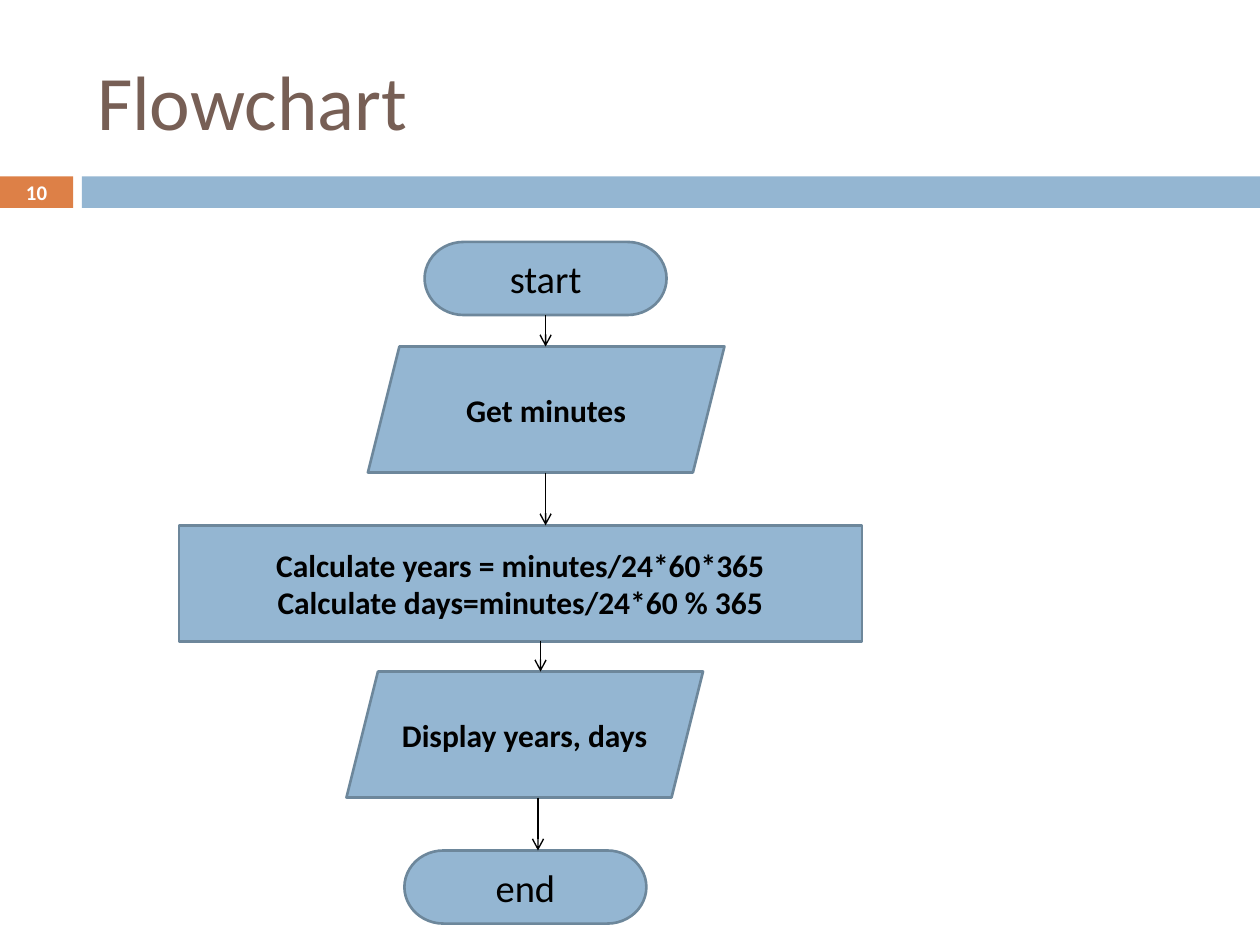
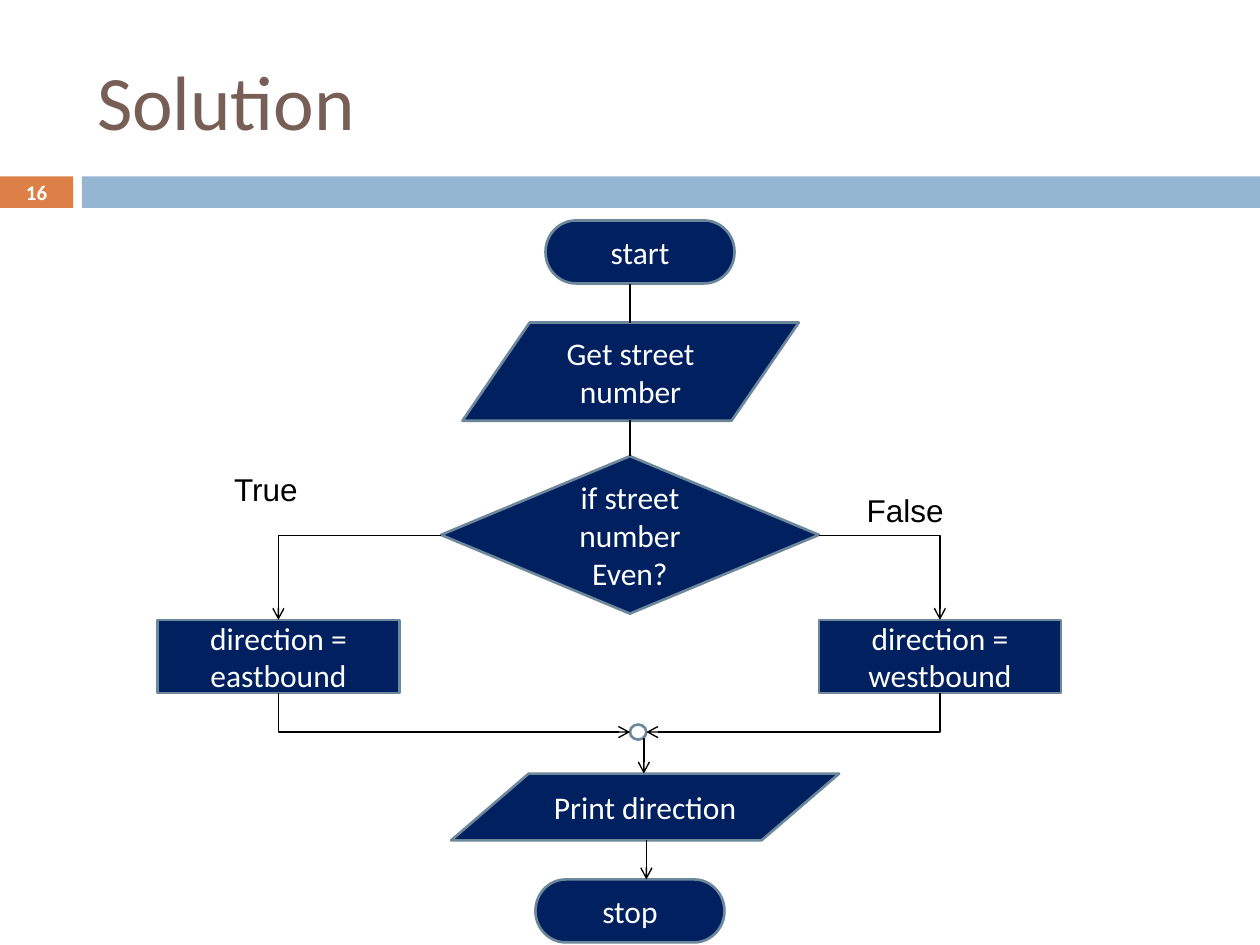
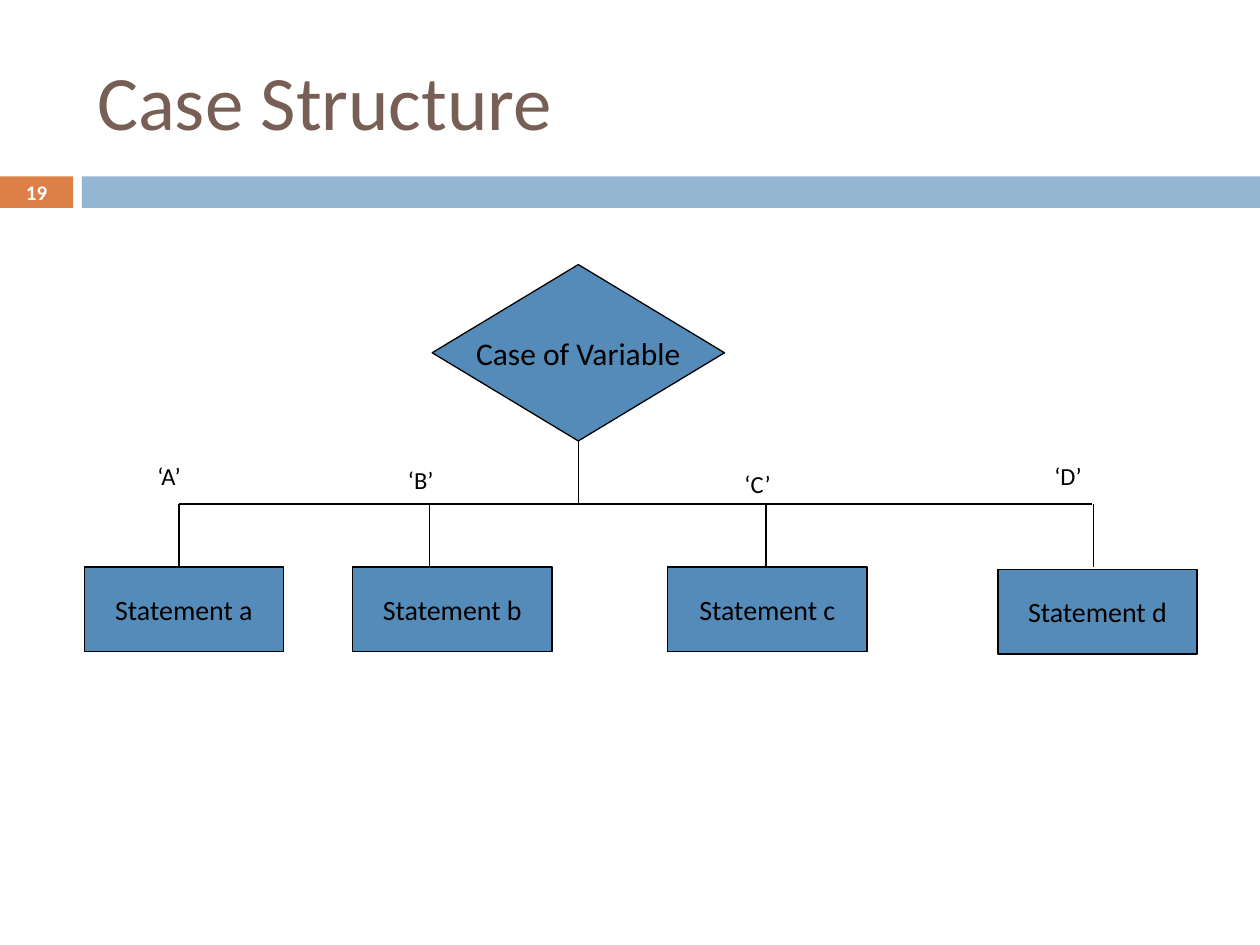
"""Build three flowchart slides that share one title, band and page-number design."""
from dataclasses import dataclass
from enum import Enum

from lxml.etree import SubElement
from pptx import Presentation
from pptx.dml.color import RGBColor
from pptx.enum.shapes import MSO_CONNECTOR, MSO_SHAPE
from pptx.enum.text import MSO_ANCHOR, MSO_AUTO_SIZE, PP_ALIGN
from pptx.oxml.ns import qn
from pptx.presentation import Presentation as Deck
from pptx.slide import Slide, SlideLayout
from pptx.text.text import TextFrame
from pptx.util import Emu, Pt

EMU_PER_PX = 9144

Box = tuple[int, int, int, int]
Point = tuple[int, int]


@dataclass(frozen=True)
class Theme:
    """Colours, fonts and type sizes of the deck."""

    title: str = "775F55"
    page: str = "DD8047"
    band: str = "94B6D2"
    edge: str = "6D879B"
    navy: str = "002060"
    steel: str = "558BB8"
    black: str = "000000"
    white: str = "FFFFFF"
    font: str = "Calibri"
    branch_font: str = "Arial"
    title_size: float = 44
    terminal_size: float = 22
    body_size: float = 18
    statement_size: float = 16
    case_size: float = 14
    page_size: float = 11.9
    link_width: float = 0.79


THEME = Theme()


@dataclass(frozen=True)
class Type:
    """The look of a run of text."""

    size: float = THEME.body_size
    color: str = THEME.black
    bold: bool = False
    font: str = THEME.font


@dataclass(frozen=True)
class Look:
    """The look of a flowchart step."""

    fill: str | None
    edge: str | None = THEME.edge
    edge_width: float = 1.5
    wrap: bool = True


@dataclass(frozen=True)
class Step:
    """One flowchart step and its lines of text."""

    kind: MSO_SHAPE
    box: Box
    lines: tuple[str, ...] = ()
    type: Type = Type()


@dataclass(frozen=True)
class Label:
    """A free-standing caption beside a branch."""

    box: Box
    text: str
    type: Type
    indent: int = 0


class Turn(Enum):
    """The way a link bends."""

    NONE = 0
    ACROSS_FIRST = 1
    DOWN_FIRST = 2


@dataclass(frozen=True)
class Link:
    """A line between two steps."""

    start: Point
    end: Point
    arrow: bool = True
    turn: Turn = Turn.NONE


PALE = Look(THEME.band)
DARK = Look(THEME.navy)
HOLLOW = Look(None)
CASE = Look(THEME.steel, THEME.black, 0.75, wrap=False)
PLAIN_BAND = Look(THEME.band, None)
PAGE_BAND = Look(THEME.page, None)

TITLE_BOX: Box = (67, 25, 892, 108)
PAGE_BOX: Box = (0, 139, 58, 27)


def px(length: float) -> Emu:
    """Turn px into EMU."""
    return Emu(round(length * EMU_PER_PX))


def write(frame: TextFrame, lines: tuple[str, ...], style: Type, align: PP_ALIGN) -> None:
    """Write each line as a paragraph holding one run."""
    for index, line in enumerate(lines):
        paragraph = frame.add_paragraph() if index else frame.paragraphs[0]
        paragraph.alignment = align
        run = paragraph.add_run()
        run.text = line
        run.font.name = style.font
        run.font.size = Pt(style.size)
        run.font.bold = style.bold
        run.font.color.rgb = RGBColor.from_string(style.color)


def draw_step(slide: Slide, step: Step, look: Look):
    """Draw a step and return its shape."""
    outline = slide.shapes.add_shape(step.kind, *map(px, step.box))
    outline.shadow.inherit = False
    if look.fill:
        outline.fill.solid()
        outline.fill.fore_color.rgb = RGBColor.from_string(look.fill)
    else:
        outline.fill.background()
    if look.edge:
        outline.line.color.rgb = RGBColor.from_string(look.edge)
        outline.line.width = Pt(look.edge_width)
    else:
        outline.line.fill.background()
    frame = outline.text_frame
    frame.word_wrap = look.wrap
    frame.vertical_anchor = MSO_ANCHOR.MIDDLE
    write(frame, step.lines, step.type, PP_ALIGN.CENTER)
    return outline


def draw_label(slide: Slide, label: Label) -> None:
    """Draw a caption, indented inside its box."""
    frame = slide.shapes.add_textbox(*map(px, label.box)).text_frame
    frame.word_wrap = True
    frame.auto_size = MSO_AUTO_SIZE.SHAPE_TO_FIT_TEXT
    write(frame, (label.text,), label.type, PP_ALIGN.LEFT)
    if label.indent:
        properties = frame.paragraphs[0]._p.get_or_add_pPr()
        properties.set("marL", str(px(label.indent)))


def draw_link(slide: Slide, link: Link) -> None:
    """Draw a straight or one-bend link, turning the frame when it goes down first."""
    (x1, y1), (x2, y2) = link.start, link.end
    rightward = x2 > x1
    if link.turn is Turn.DOWN_FIRST:
        middle_x, middle_y = (x1 + x2) / 2, (y1 + y2) / 2
        half_width, half_height = (y2 - y1) / 2, abs(x2 - x1) / 2
        side = 1 if rightward else -1
        x1, x2 = middle_x + side * half_width, middle_x - side * half_width
        y1, y2 = middle_y - half_height, middle_y + half_height
    kind = MSO_CONNECTOR.STRAIGHT if link.turn is Turn.NONE else MSO_CONNECTOR.ELBOW
    connector = slide.shapes.add_connector(kind, px(x1), px(y1), px(x2), px(y2))
    connector.line.color.rgb = RGBColor.from_string(THEME.black)
    connector.line.width = Pt(THEME.link_width)
    properties = connector.element.spPr
    if link.turn is not Turn.NONE:
        properties.find(qn("a:prstGeom")).set("prst", "bentConnector2")
    if link.turn is Turn.DOWN_FIRST:
        degrees = 270 if rightward else 90
        properties.find(qn("a:xfrm")).set("rot", str(degrees * 60000))
    if link.arrow:
        SubElement(properties.find(qn("a:ln")), qn("a:tailEnd"), type="arrow")
    SubElement(properties, qn("a:effectLst"))


def add_bands(slide: Slide, layout: SlideLayout) -> None:
    """Place the two bands on the layout, so that every slide shows them."""
    for box, look in (((0, 140, 58, 25), PAGE_BAND), ((65, 140, 935, 25), PLAIN_BAND)):
        band = draw_step(slide, Step(MSO_SHAPE.RECTANGLE, box), look)
        layout.shapes.element.append(band.element)


def add_page(deck: Deck, heading: str, number: str) -> Slide:
    """Add a slide with its title and page number."""
    layout = deck.slide_layouts[5]
    slide = deck.slides.add_slide(layout)
    if len(deck.slides) == 1:
        add_bands(slide, layout)
    title = slide.shapes.title
    title.left, title.top, title.width, title.height = map(px, TITLE_BOX)
    title.text_frame.vertical_anchor = MSO_ANCHOR.MIDDLE
    write(title.text_frame, (heading,), Type(THEME.title_size, THEME.title), PP_ALIGN.LEFT)
    frame = slide.shapes.add_textbox(*map(px, PAGE_BOX)).text_frame
    frame.word_wrap = True
    frame.vertical_anchor = MSO_ANCHOR.MIDDLE
    write(frame, (number,), Type(THEME.page_size, THEME.white, bold=True), PP_ALIGN.CENTER)
    return slide


def build_minutes(deck: Deck) -> None:
    """Build the flowchart that turns minutes into years and days."""
    slide = add_page(deck, "Flowchart", "10")
    terminal = Type(THEME.terminal_size)
    action = Type(bold=True)
    formulas = ("Calculate years = minutes/24*60*365", "Calculate days=minutes/24*60 % 365")
    steps = (
        Step(MSO_SHAPE.FLOWCHART_TERMINATOR, (337, 192, 192, 58), ("start",), terminal),
        Step(MSO_SHAPE.PARALLELOGRAM, (292, 275, 283, 100), ("Get minutes",), action),
        Step(MSO_SHAPE.FLOWCHART_PROCESS, (142, 417, 542, 92), formulas, action),
        Step(MSO_SHAPE.PARALLELOGRAM, (275, 533, 283, 100), ("Display years, days",), action),
        Step(MSO_SHAPE.FLOWCHART_TERMINATOR, (321, 675, 192, 58), ("end",), terminal),
    )
    for step in steps:
        draw_step(slide, step, PALE)
    for x, upper, lower in zip((433, 433, 429, 427), steps, steps[1:]):
        draw_link(slide, Link((x, upper.box[1] + upper.box[3]), (x, lower.box[1])))


def build_direction(deck: Deck) -> None:
    """Build the flowchart that finds a direction from a street number."""
    slide = add_page(deck, "Solution", "16")
    text = Type(color=THEME.white)
    terminator, data = MSO_SHAPE.FLOWCHART_TERMINATOR, MSO_SHAPE.FLOWCHART_DATA
    for step in (
        Step(terminator, (433, 175, 150, 50), ("start",), text),
        Step(data, (367, 256, 267, 78), ("Get street number",), text),
        Step(MSO_SHAPE.FLOWCHART_DECISION, (350, 362, 300, 125), ("if street number Even?",), text),
        Step(MSO_SHAPE.RECTANGLE, (125, 492, 192, 58), ("direction = eastbound",), text),
        Step(MSO_SHAPE.RECTANGLE, (650, 492, 192, 58), ("direction = westbound",), text),
        Step(data, (358, 614, 308, 53), ("Print direction",), text),
        Step(terminator, (425, 698, 150, 50), ("stop",), text),
    ):
        draw_step(slide, step, DARK)
    draw_step(slide, Step(MSO_SHAPE.FLOWCHART_CONNECTOR, (500, 575, 13, 12)), HOLLOW)
    for link in (
        Link((500, 225), (500, 256), arrow=False),
        Link((500, 333), (500, 362), arrow=False),
        Link((350, 425), (221, 492), turn=Turn.ACROSS_FIRST),
        Link((650, 425), (746, 492), turn=Turn.ACROSS_FIRST),
        Link((221, 550), (500, 581), turn=Turn.DOWN_FIRST),
        Link((746, 550), (513, 581), turn=Turn.DOWN_FIRST),
        Link((511, 586), (511, 614)),
        Link((513, 667), (513, 698)),
    ):
        draw_link(slide, link)
    branch = Type(font=THEME.branch_font)
    draw_label(slide, Label((678, 385, 113, 40), "False", branch))
    draw_label(slide, Label((176, 368, 113, 40), "True", branch))


@dataclass(frozen=True)
class Case:
    """One case: its letter, the caption place, the branch and the statement place."""

    letter: str
    caption: Point
    indent: int
    branch_x: int
    statement: Point


def build_cases(deck: Deck) -> None:
    """Build the diagram of the case structure."""
    slide = add_page(deck, "Case Structure", "19")
    rail_y = 400
    decision = Step(MSO_SHAPE.FLOWCHART_DECISION, (343, 210, 232, 140), ("Case of Variable",))
    draw_step(slide, decision, CASE)
    draw_link(slide, Link((142, rail_y), (867, rail_y), arrow=False))
    draw_link(slide, Link((459, 350), (459, rail_y), arrow=False))
    for case in (
        Case("A", (83, 361), 32, 142, (67, 450)),
        Case("B", (301, 364), 13, 341, (280, 450)),
        Case("C", (564, 367), 17, 608, (530, 450)),
        Case("D", (792, 361), 35, 868, (792, 452)),
    ):
        draw_link(slide, Link((case.branch_x, rail_y), (case.branch_x, 450), arrow=False))
        caption = Label((*case.caption, 124, 34), f"‘{case.letter}’", Type(THEME.case_size), case.indent)
        draw_label(slide, caption)
        words = (f"Statement {case.letter.lower()}",)
        box = (*case.statement, 158, 67)
        statement = Step(MSO_SHAPE.FLOWCHART_PROCESS, box, words, Type(THEME.statement_size))
        draw_step(slide, statement, CASE)


def main() -> None:
    """Build and save the deck."""
    deck = Presentation()
    deck.slide_width, deck.slide_height = px(1000), px(750)
    build_minutes(deck)
    build_direction(deck)
    build_cases(deck)
    deck.save("out.pptx")


if __name__ == "__main__":
    main()
